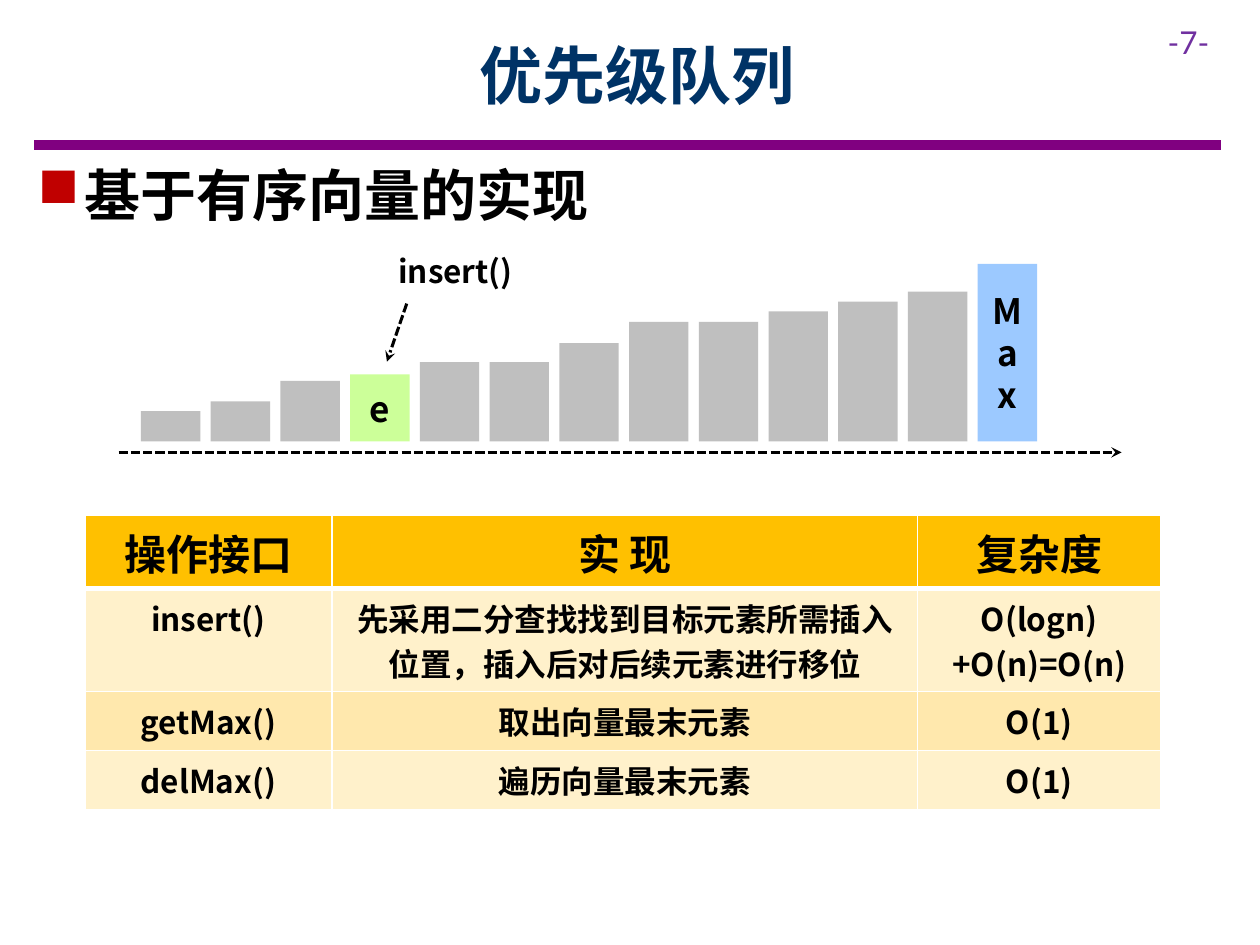
import pptx
import pptx.dml.color
import pptx.enum.dml
import pptx.enum.shapes
import pptx.enum.text
import pptx.oxml
import pptx.oxml.ns
import pptx.util
from lxml import etree

Cm, Pt = pptx.util.Cm, pptx.util.Pt
ALIGN = pptx.enum.text.PP_ALIGN
MID = pptx.enum.text.MSO_ANCHOR.MIDDLE
qn = pptx.oxml.ns.qn

# Content
TITLE = "优先级队列"
PAGE = "-7-"
HEAD = "基于有序向量的实现"
CALL = "insert()"
# Height in cm, fill, label
BARS = [(h, "BFBFBF", "") for h in
        (0.61, 0.81, 1.22, 1.35, 1.6, 1.6, 1.98, 2.41, 2.41, 2.62, 2.82, 3.02, 3.58)]
BARS[3] = (1.35, "CCFF99", "e")
BARS[-1] = (3.58, "9CC9FF", "Max")
ROWS = [
    ("操作接口", "实 现", "复杂度"),
    ("insert()", "先采用二分查找找到目标元素所需插入位置，插入后对后续元素进行移位", "O(logn)+O(n)=O(n)"),
    ("getMax()", "取出向量最末元素", "O(1)"),
    ("delMax()", "遍历向量最末元素", "O(1)"),
]
FILLS = ("FFC000", "FFF1CB", "FFE8AD", "FFF1CB")
WIDE = (4.98, 11.81, 4.9)
TALL = (1.47, 2.08, 1.19, 1.19)

# Formats
SANS = "Noto Sans CJK SC"
BOLD = {"name": SANS, "bold": True}
FORMS = {
    "title": {**BOLD, "size": Pt(36)},
    "page": {"name": "Lato", "size": Pt(18)},
    "head": {**BOLD, "size": Pt(32)},
    "top": {**BOLD, "size": Pt(24)},
    "bar": {**BOLD, "size": Pt(20)},
    "small": {**BOLD, "size": Pt(18)},
}


def rgb(code):
    return pptx.dml.color.RGBColor.from_string(code)


def write(frame, text, form, color="000000", align=ALIGN.CENTER):
    para = frame.paragraphs[0]
    para.alignment = align
    run = para.add_run()
    run.text = text
    for key, value in FORMS[form].items():
        setattr(run.font, key, value)
    run.font.color.rgb = rgb(color)
    face = etree.SubElement(run.font._element, qn("a:ea"))
    face.set("typeface", FORMS[form]["name"])
    return para


def box(place, text, form, wrap=True, **look):
    frame = slide.shapes.add_textbox(*map(Cm, place)).text_frame
    frame.word_wrap = wrap
    return frame, write(frame, text, form, **look)


def draw(ends, color, width, arrow=True):
    line = slide.shapes.add_connector(
        pptx.enum.shapes.MSO_CONNECTOR.STRAIGHT, *map(Cm, ends))
    line.line.color.rgb = rgb(color)
    line.line.width = Pt(width)
    if arrow:
        line.line.dash_style = pptx.enum.dml.MSO_LINE.SQUARE_DOT
        tail = etree.SubElement(line.line._get_or_add_ln(), qn("a:tailEnd"))
        tail.set("type", "stealth")
    etree.SubElement(line._element.spPr, qn("a:effectLst"))


def edge(cell, side, width):
    ln = etree.SubElement(cell._tc.get_or_add_tcPr(), qn("a:ln" + side))
    ln.set("w", str(Pt(width)))
    fill = etree.SubElement(ln, qn("a:solidFill"))
    etree.SubElement(fill, qn("a:srgbClr")).set("val", "FFFFFF")


deck = pptx.Presentation()
deck.slide_width, deck.slide_height = Cm(25.4), Cm(19.05)
slide = deck.slides.add_slide(deck.slide_layouts[6])

# Heading area
draw((0.69, 2.92, 24.61, 2.92), "800080", 6, arrow=False)
box((23.29, 0.33, 2.11, 1.02), PAGE, "page", color="7030A0", align=ALIGN.LEFT)
frame, para = box((2.29, 0.23, 21.11, 2.54), TITLE, "title", color="003366")
frame.vertical_anchor = MID

# Bulleted line
frame, para = box((0.51, 3.12, 12.6, 1.63), HEAD, "head", align=ALIGN.LEFT)
para.space_after = Pt(6)
props = para._p.get_or_add_pPr()
props.set("marL", str(Cm(0.95)))
props.set("indent", str(Cm(-0.95)))
tint = etree.SubElement(props, qn("a:buClr"))
etree.SubElement(tint, qn("a:srgbClr")).set("val", "C00000")
etree.SubElement(props, qn("a:buChar")).set("char", "■")

# Table
grid = slide.shapes.add_table(
    len(ROWS), len(WIDE), Cm(1.71), Cm(10.39), Cm(sum(WIDE)), Cm(sum(TALL))).table
for col, width in zip(grid.columns, WIDE):
    col.width = Cm(width)
for r, (texts, fill, tall) in enumerate(zip(ROWS, FILLS, TALL)):
    grid.rows[r].height = Cm(tall)
    for c, text in enumerate(texts):
        cell = grid.cell(r, c)
        for side in "LRTB":
            heavy = (r, side) in ((0, "B"), (1, "T"))
            edge(cell, side, 3 if heavy else 1)
        cell.fill.solid()
        cell.fill.fore_color.rgb = rgb(fill)
        write(cell.text_frame, text, "small" if r else "top")

# Sorted bars on a common base
LEFT, LAST, BASE, WIDTH = 2.84, 19.71, 8.9, 1.2
step = (LAST - LEFT) / (len(BARS) - 1)
for i, (tall, fill, label) in enumerate(BARS):
    bar = slide.shapes.add_shape(
        pptx.enum.shapes.MSO_SHAPE.RECTANGLE,
        Cm(LEFT + i * step), Cm(BASE - tall), Cm(WIDTH), Cm(tall))
    bar.shadow.inherit = False
    bar.fill.solid()
    bar.fill.fore_color.rgb = rgb(fill)
    bar.line.fill.background()
    if label:
        frame = bar.text_frame
        frame.word_wrap = True
        frame.vertical_anchor = MID
        for side in ("left", "right", "top", "bottom"):
            setattr(frame, "margin_" + side, Cm(0.25))
        write(frame, label, "bar")

# Axis and insertion mark
draw((2.39, 9.12, 22.61, 9.12), "000000", 1.75)
box((7.75, 4.95, 2.87, 1.02), CALL, "small", wrap=False)
draw((8.2, 6.12, 7.8, 7.29), "000000", 1.75)

deck.save("out.pptx")
